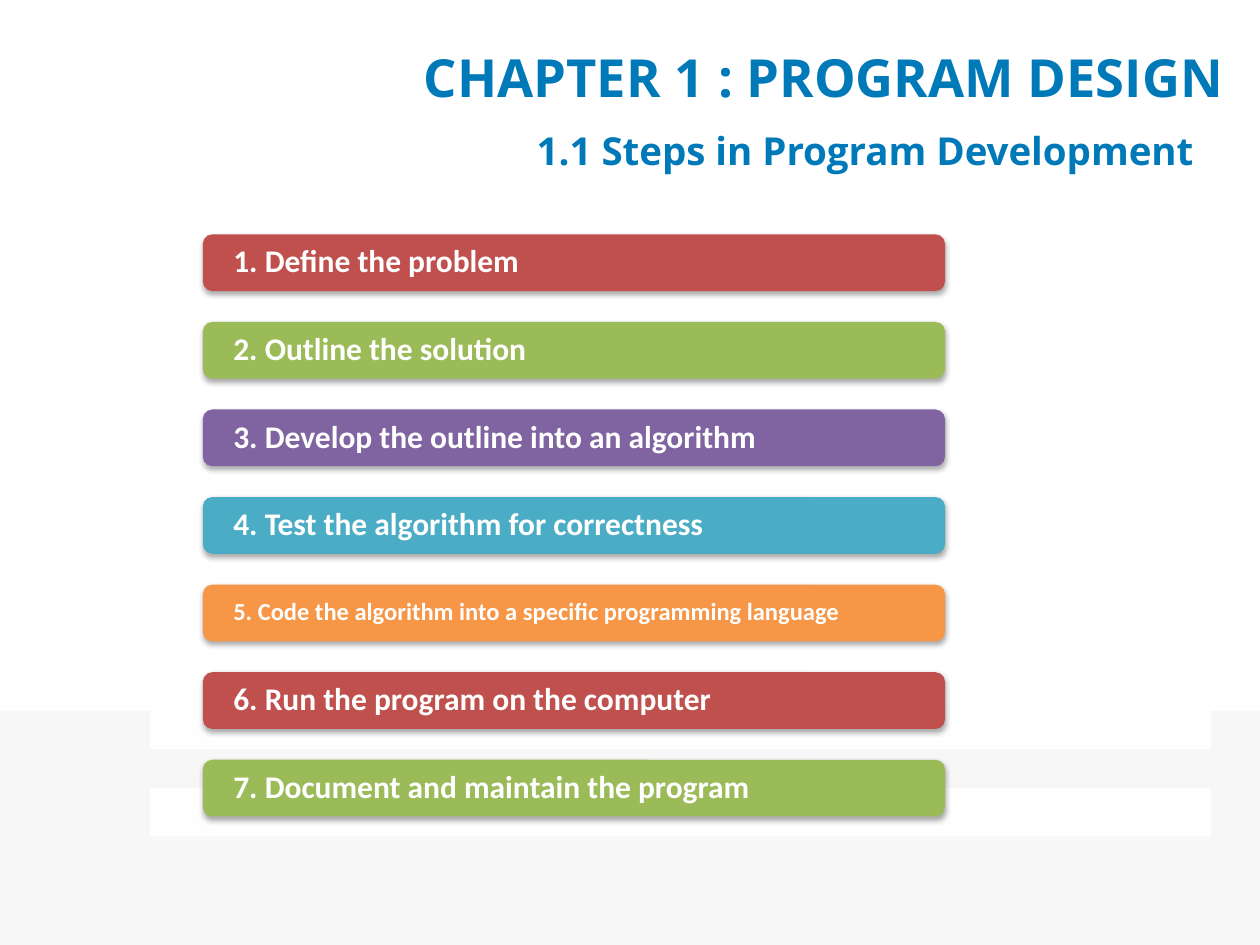
from lxml.etree import SubElement
from pptx import Presentation
from pptx.dml.color import RGBColor
from pptx.enum.shapes import MSO_SHAPE as SHAPE
from pptx.enum.text import MSO_ANCHOR as ANCHOR, PP_ALIGN as ALIGN
from pptx.oxml.ns import qn
from pptx.util import Inches, Pt

WIDTH, HEIGHT = 10, 7.5
BLUE, WHITE, GREY = "0079B8", "FFFFFF", "F7F7F7"
BAR_COLOURS = ["C0504D", "9BBB59", "8064A2", "4BACC6", "F79646"]
FIRST_TOP, PITCH = 1.86, 0.695
STEPS = [
    ("Define the problem", 18),
    ("Outline the solution", 18),
    ("Develop the outline into an algorithm", 18),
    ("Test the algorithm for correctness", 18),
    ("Code the algorithm into a specific programming language", 14),
    ("Run the program on the computer", 18),
    ("Document and maintain the program", 18),
]


def rgb(colour):
    return RGBColor.from_string(colour)


def add_block(s, kind, box, colour):
    sp = s.shapes.add_shape(kind, *map(Inches, box))
    sp.shadow.inherit = False
    sp.fill.solid()
    sp.fill.fore_color.rgb = rgb(colour)
    sp.line.fill.background()
    return sp


def set_alpha(parent, percent):
    SubElement(parent, qn("a:alpha"), val=str(percent * 1000))


def add_drop_shadow(sp):
    """Cast a soft black shadow straight down."""
    effects = sp._element.spPr.find(qn("a:effectLst"))
    shadow = SubElement(effects, qn("a:outerShdw"), blurRad=str(Pt(3.1)),
                        dist=str(Pt(1.8)), dir="5400000", rotWithShape="0")
    set_alpha(SubElement(shadow, qn("a:srgbClr"), val="000000"), 35)


def write(tf, text, font, size, colour, align):
    tf.word_wrap = True
    tf.vertical_anchor = ANCHOR.MIDDLE
    p = tf.paragraphs[0]
    p.text = text
    p.alignment = align
    p.font.name, p.font.size, p.font.bold = font, Pt(size), True
    p.font.color.rgb = rgb(colour)
    return p


def add_heading(s, box, text, size):
    tb = s.shapes.add_textbox(*map(Inches, box))
    write(tb.text_frame, text, "Open Sans", size, BLUE, ALIGN.RIGHT)


def add_step(s, index, text, size):
    """Add a numbered bar over its pale, nearly opaque strip."""
    top = FIRST_TOP + index * PITCH
    strip = add_block(s, SHAPE.RECTANGLE, (1.19, top + 0.22, 8.42, 0.39), WHITE)
    set_alpha(strip._element.spPr.find(qn("a:solidFill"))[0], 90)

    bar = add_block(s, SHAPE.ROUNDED_RECTANGLE, (1.61, top, 5.89, 0.45),
                    BAR_COLOURS[index % len(BAR_COLOURS)])
    add_drop_shadow(bar)
    tf = bar.text_frame
    tf.margin_left = tf.margin_right = Inches(0.22)
    tf.margin_top = tf.margin_bottom = 0
    p = write(tf, f"{index + 1}. {text}", "Calibri", size, WHITE, ALIGN.LEFT)
    p.line_spacing = 0.9


def main():
    prs = Presentation()
    prs.slide_width, prs.slide_height = Inches(WIDTH), Inches(HEIGHT)
    s = prs.slides.add_slide(prs.slide_layouts[6])

    band_top = 5.64
    add_block(s, SHAPE.RECTANGLE, (0, band_top, WIDTH, HEIGHT - band_top), GREY)
    add_heading(s, (2.33, 0.17, 7.48, 0.87), "CHAPTER 1 : PROGRAM DESIGN", 30)
    add_heading(s, (2.17, 0.92, 7.48, 0.55), "1.1 Steps in Program Development ", 22)
    for index, (text, size) in enumerate(STEPS):
        add_step(s, index, text, size)

    prs.save("out.pptx")


if __name__ == "__main__":
    main()
